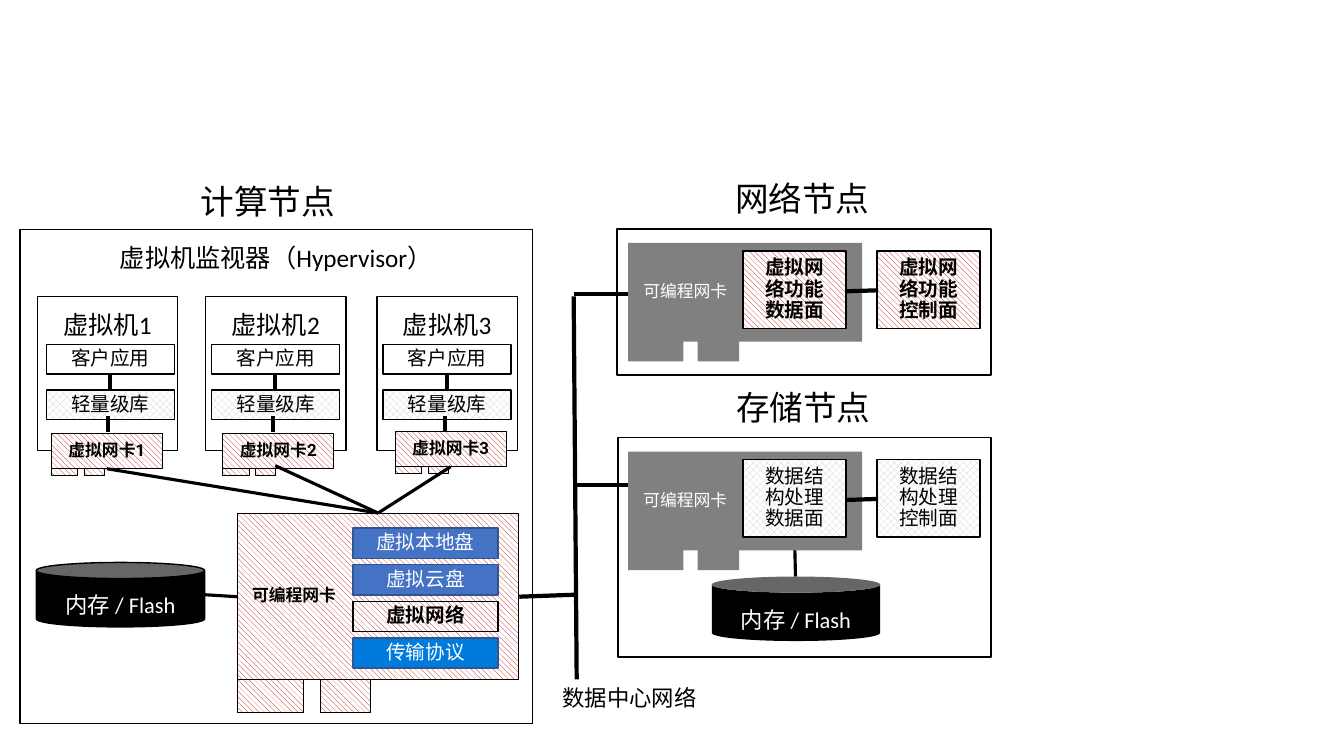
from lxml.etree import SubElement
from pptx import Presentation
from pptx.dml.color import RGBColor
from pptx.enum.dml import MSO_PATTERN
from pptx.enum.shapes import MSO_CONNECTOR, MSO_SHAPE
from pptx.enum.text import MSO_ANCHOR, MSO_AUTO_SIZE, PP_ALIGN
from pptx.oxml.ns import qn
from pptx.util import Inches, Pt

COLORS = {
    "black": "000000", "white": "FFFFFF", "gray": "808080", "mesh": "D0CECE",
    "hatch": "C00000", "blue": "4472C4", "edge": "325491", "azure": "007ADB",
}
PATTERNS = {
    "hatch": MSO_PATTERN.WIDE_DOWNWARD_DIAGONAL,
    "mesh": MSO_PATTERN.PERCENT_50,
}


def color(name):
    return RGBColor.from_string(COLORS[name])


def inches(box):
    return [Inches(length) for length in box]


def write(frame, text, size, ink="black", bold=False, font="Calibri",
          align=PP_ALIGN.CENTER, anchor=MSO_ANCHOR.MIDDLE, inset=(0.2, 0.16)):
    frame.margin_left = frame.margin_right = Inches(inset[0])
    frame.margin_top = frame.margin_bottom = Inches(inset[1])
    frame.vertical_anchor = anchor
    paragraph = frame.paragraphs[0]
    paragraph.alignment = align
    paragraph.line_spacing = 0.9
    run = paragraph.add_run()
    run.text = text
    run.font.name = font
    run.font.size = Pt(size)
    run.font.bold = bold
    run.font.color.rgb = color(ink)
    return paragraph


def block(shapes, box, fill="white", edge="black", weight=1, kind=MSO_SHAPE.RECTANGLE):
    shape = shapes.add_shape(kind, *inches(box))
    shape.shadow.inherit = False
    if fill in PATTERNS:
        shape.fill.patterned()
        shape.fill.pattern = PATTERNS[fill]
        shape.fill.fore_color.rgb = color(fill)
        shape.fill.back_color.rgb = color("white")
    else:
        shape.fill.solid()
        shape.fill.fore_color.rgb = color(fill)
    if edge:
        shape.line.color.rgb = color(edge)
        shape.line.width = Pt(weight)
    else:
        shape.line.fill.background()
    frame = shape.text_frame
    frame.word_wrap = True
    return frame


def link(shapes, start, end, weight=3):
    line = shapes.add_connector(MSO_CONNECTOR.STRAIGHT, *inches(start + end))
    line.line.color.rgb = color("black")
    line.line.width = Pt(weight)
    SubElement(line._element.spPr, qn("a:effectLst"))


def caption(shapes, box, text, size):
    frame = shapes.add_textbox(*inches(box)).text_frame
    frame.word_wrap = False
    frame.auto_size = MSO_AUTO_SIZE.SHAPE_TO_FIT_TEXT
    paragraph = write(frame, text, size, align=PP_ALIGN.LEFT, anchor=MSO_ANCHOR.TOP)
    paragraph.space_after = Pt(6)


def network_card(shapes, box, text, fill="hatch", edge="black", ink="black",
                 bold=True, align=PP_ALIGN.LEFT, inset=(0.15, 0.12)):
    left, top, width, height = box
    card = shapes.add_group_shape().shapes
    for offset, span in ((0, 0.236), (0.297, 0.178)):
        foot = (left + offset * width, top + 0.63 * height, span * width, 0.57 * height)
        block(card, foot, fill, edge, 0.5)
    body = block(card, box, fill, edge, 0.5)
    write(body, text, 12, ink, bold, "Roboto", align, inset=inset)


def memory(shapes, left, top, edge=None):
    can = block(shapes, (left, top, 1.67, 0.64), "black", edge, kind=MSO_SHAPE.CAN)
    write(can, "内存 / Flash", 16, "white", anchor=MSO_ANCHOR.TOP)


def virtual_machine(shapes, box, number, app_left, card_left, card_top):
    top = box[1]
    write(block(shapes, box), f"虚拟机{number}", 18, anchor=MSO_ANCHOR.TOP)
    network_card(shapes, (card_left, card_top, 1.1, 0.35), f"虚拟网卡{number}",
                 align=PP_ALIGN.CENTER, inset=(0.05, 0.05))
    layers = (("客户应用", "white", 0.48), ("轻量级库", "mesh", 0.93))
    for text, fill, offset in layers:
        write(block(shapes, (app_left, top + offset, 1.27, 0.29), fill), text, 14)
    middle = app_left + 0.63
    link(shapes, (middle, top + 0.77), (middle, top + 0.93))
    link(shapes, (middle - 0.02, top + 1.19), (middle - 0.02, top + 1.35))


def compute_node(shapes, box):
    left, top, width, height = box
    caption(shapes, (left + 1.59, top - 0.6, 1.75, 0.69), "计算节点", 24)
    write(block(shapes, box), "虚拟机监视器（Hypervisor）", 18, anchor=MSO_ANCHOR.TOP)

    machines = (
        (0.17, 0.26, 0.31, 2.02),
        (1.84, 1.9, 2.01, 2.02),
        (3.54, 3.6, 3.72, 2.0),
    )
    for number, (machine, app, card, card_top) in enumerate(machines, 1):
        virtual_machine(shapes, (left + machine, top + 0.66, 1.39, 1.53), number,
                        left + app, left + card, top + card_top)

    card_left, card_top = left + 2.15, top + 2.81
    network_card(shapes, (card_left, card_top, 2.79, 1.65), "可编程网卡")
    for start_x, start_y in ((0.86, 2.37), (2.53, 2.34), (4.27, 2.35)):
        link(shapes, (left + start_x, top + start_y), (left + 3.55, card_top), 2.25)

    services = (
        ("虚拟本地盘", "blue", "edge", "white", False),
        ("虚拟云盘", "blue", "edge", "white", False),
        ("虚拟网络", "hatch", "black", "black", True),
        ("传输协议", "azure", "edge", "white", False),
    )
    for row, (text, fill, edge, ink, bold) in enumerate(services):
        service = (card_left + 1.15, card_top + 0.15 + 0.363 * row, 1.44, 0.3)
        write(block(shapes, service, fill, edge), text, 14, ink, bold)

    link(shapes, (left + 1.83, top + 3.62), (card_left, top + 3.64), 2.25)
    memory(shapes, left + 0.16, top + 3.3, "black")


def service_node(shapes, box, title, role, fill, bold, has_memory=False):
    left, top, width, height = box
    caption(shapes, (left + 0.97, top - 0.62, 1.75, 0.69), title, 24)
    block(shapes, box)
    card_left, card_top = left + width - 3.6, top + 0.14
    if has_memory:
        link(shapes, (left + 1.75, top + 0.97), (left + 1.76, top + 1.38), 2.25)
        memory(shapes, left + 0.93, top + 1.38)
    network_card(shapes, (card_left, card_top, 2.32, 0.98), "可编程网卡",
                 "gray", None, "white", False)
    for plane, offset in (("数据面", 1.14), ("控制面", 2.47)):
        plane_box = (card_left + offset, card_top + 0.08, 1.02, 0.77)
        write(block(shapes, plane_box, fill), role + plane, 14, bold=bold)
    link(shapes, (card_left + 2.16, card_top + 0.48), (card_left + 2.48, card_top + 0.47))


def data_center_network(shapes, left, top):
    link(shapes, (left, top + 0.02), (left + 0.03, top + 3.82))
    link(shapes, (left, top), (left + 0.54, top))
    link(shapes, (left + 0.03, top + 1.89), (left + 0.54, top + 1.89))
    link(shapes, (left - 0.54, top + 3), (left + 0.01, top + 2.98))
    caption(shapes, (left - 0.31, top + 3.78, 1.75, 0.57), "数据中心网络", 16)


def main():
    deck = Presentation()
    deck.slide_width, deck.slide_height = Inches(13.33), Inches(7.5)
    shapes = deck.slides.add_slide(deck.slide_layouts[6]).shapes
    compute_node(shapes, (0.2, 2.28, 5.08, 4.9))
    service_node(shapes, (6.12, 2.27, 3.71, 1.45), "网络节点", "虚拟网络功能", "hatch", True)
    service_node(shapes, (6.13, 4.34, 3.7, 2.18), "存储节点", "数据结构处理", "mesh", False, True)
    data_center_network(shapes, 5.69, 2.92)
    deck.save("out.pptx")


if __name__ == "__main__":
    main()
